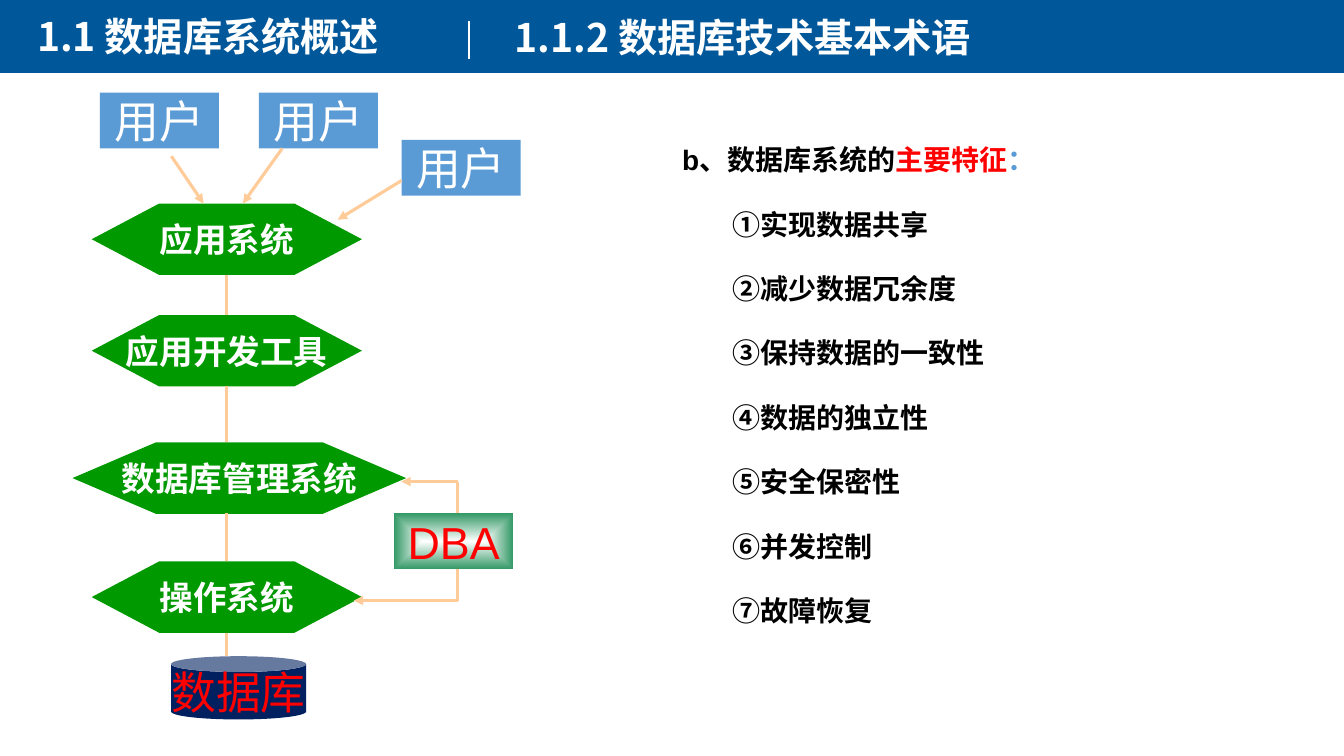
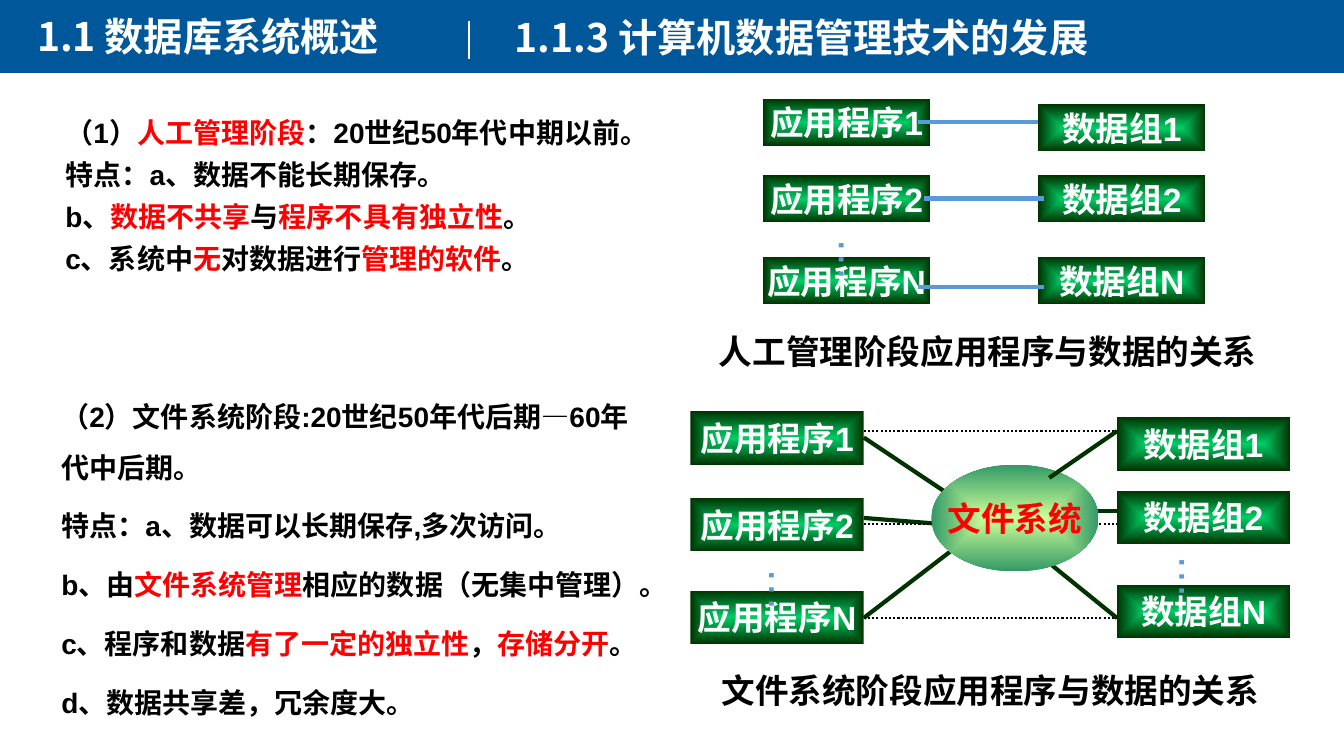
from pptx import Presentation
from pptx.dml.color import RGBColor
from pptx.enum.dml import MSO_LINE
from pptx.enum.shapes import MSO_CONNECTOR, MSO_SHAPE as SHAPE
from pptx.enum.text import MSO_ANCHOR, PP_ALIGN as ALIGN
from pptx.oxml.ns import qn
from pptx.util import Pt
from lxml.etree import SubElement

WIDTH, HEIGHT = 960, 540
BLUE, GREEN, NAVY = "00589A", "009900", "002060"
WHITE, BLACK, RED = "FFFFFF", "000000", "FF0000"
SKY, PEACH, FOREST = "5B9BD5", "FFCC99", "003300"
BOX_GLOW = ("00CC66", FOREST)
DBA_GLOW = (WHITE, "339966")
OVAL_GLOW = ("CCFF99", "339966")
BODY_FONT, TITLE_FONT = "Arial", "Noto Sans CJK SC"


def rgb(color):
    return RGBColor.from_string(color)


class Deck:
    def __init__(self):
        self.prs = Presentation()
        self.prs.slide_width, self.prs.slide_height = Pt(WIDTH), Pt(HEIGHT)
        self.s = None

    def slide(self, title):
        """Start a slide with the blue band, chapter and section title."""
        self.s = self.prs.slides.add_slide(self.prs.slide_layouts[6])
        self.shape(SHAPE.RECTANGLE, 0, -1.2, WIDTH, 53.2, BLUE)
        heading = dict(size=28, color=WHITE, font=TITLE_FONT)
        self.text(19.4, 5, 398, 41, ["1.1 数据库系统概述"], **heading)
        self.text(360.7, 5.8, 580, 41, [title], **heading)
        self.line(334.8, 15, 334.8, 42.5, WHITE, 1.5)

    def style(self, p, size, color, bold=True, font=BODY_FONT):
        p.font.name, p.font.size, p.font.bold = font, Pt(size), bold
        p.font.color.rgb = rgb(color)

    def text(self, x, y, w, h, paragraphs, size=20, color=BLACK, bold=True,
             font=BODY_FONT, before=0, spacing=None, indent=0, align=None,
             vertical=False):
        """Each paragraph is a string or a list of strings and (text, colour)."""
        tf = self.s.shapes.add_textbox(Pt(x), Pt(y), Pt(w), Pt(h)).text_frame
        tf.word_wrap = True
        if vertical:
            tf._txBody.bodyPr.set("vert", "eaVert")
        for i, runs in enumerate(paragraphs):
            p = tf.add_paragraph() if i else tf.paragraphs[0]
            if i:
                p.space_before = Pt(before)
                if indent:
                    p._p.get_or_add_pPr().set("marL", str(Pt(indent)))
            if spacing:
                p.line_spacing = spacing
            p.alignment = align
            self.style(p, size, color, bold, font)
            for run in [runs] if isinstance(runs, str) else runs:
                r = p.add_run()
                if isinstance(run, str):
                    r.text = run
                else:
                    r.text = run[0]
                    r.font.color.rgb = rgb(run[1])

    def shape(self, kind, x, y, w, h, fill, label="", size=24, color=WHITE,
              bold=True, adj=()):
        """Fill is one colour, or a (centre, edge) pair for a glow."""
        sp = self.s.shapes.add_shape(kind, Pt(x), Pt(y), Pt(w), Pt(h))
        sp.shadow.inherit = False
        sp.line.fill.background()
        for i, value in enumerate(adj):
            sp.adjustments[i] = value
        if isinstance(fill, str):
            sp.fill.solid()
            sp.fill.fore_color.rgb = rgb(fill)
        else:
            self.glow(sp, fill)
        if label:
            tf = sp.text_frame
            tf.word_wrap = False
            tf.vertical_anchor = MSO_ANCHOR.MIDDLE
            p = tf.paragraphs[0]
            p.alignment = ALIGN.CENTER
            self.style(p, size, color, bold)
            p.add_run().text = label

    def glow(self, sp, colors):
        sp.fill.gradient()
        for stop, color, position in zip(sp.fill.gradient_stops, colors, (0, 1)):
            stop.color.rgb, stop.position = rgb(color), position
        grad = sp._element.spPr.find(qn("a:gradFill"))
        grad.remove(grad.find(qn("a:lin")))
        shade = SubElement(grad, qn("a:path"), path="shape")
        SubElement(shade, qn("a:fillToRect"), l="50000", t="50000",
                   r="50000", b="50000")

    def line(self, x1, y1, x2, y2, color, width, arrow=False, dotted=False):
        c = self.s.shapes.add_connector(MSO_CONNECTOR.STRAIGHT, Pt(x1), Pt(y1),
                                        Pt(x2), Pt(y2))
        c.line.color.rgb, c.line.width = rgb(color), Pt(width)
        if dotted:
            c.line.dash_style = MSO_LINE.ROUND_DOT
        if arrow:
            SubElement(c.line._get_or_add_ln(), qn("a:tailEnd"), type="triangle")
        SubElement(c._element.spPr, qn("a:effectLst"))

    def column(self, x, tops, w, h, name):
        """Glowing boxes numbered 1, 2, N."""
        for top, number in zip(tops, "12N"):
            self.shape(SHAPE.RECTANGLE, x, top, w, h, BOX_GLOW, name + number)

    def ellipsis(self, x, y):
        self.text(x, y, 40, 54, ["…"], size=32, color=SKY, bold=False,
                  vertical=True)


def terms_slide(d):
    d.slide("1.1.2 数据库技术基本术语")
    d.text(480.2, 86.4, 307, 383, [
        ["b、数据库系统的", ("主要特征", RED), ("：", SKY)],
        "①实现数据共享", "②减少数据冗余度", "③保持数据的一致性",
        "④数据的独立性", "⑤安全保密性", "⑥并发控制", "⑦故障恢复",
    ], before=10, spacing=1.5, indent=36)

    for label, x, y, w, adj in [
            ("应用系统", 65.5, 145.4, 193, 0.945),
            ("应用开发工具", 65.5, 225, 193, 0.945),
            ("操作系统", 65.5, 401, 193, 0.945),
            ("数据库管理系统", 51.8, 316, 238.3, 1.167)]:
        d.shape(SHAPE.HEXAGON, x, y, w, 51, GREEN, label, adj=(adj, 1.155))
    large = dict(size=32, bold=False)
    for x, y in [(71.3, 66.2), (185, 66.2), (286.8, 100)]:
        d.shape(SHAPE.RECTANGLE, x, y, 85, 39.8, SKY, "用户", **large)
    for ends in [(122.4, 111.6, 145.4, 145.4), (201.6, 106, 173.5, 145.4),
                 (286.8, 129, 241.2, 157)]:
        d.line(*ends, PEACH, 2.25, arrow=True)
    for top, bottom in [(196.5, 225), (276, 316), (366.8, 401), (452, 468.7)]:
        d.line(162, top, 162, bottom, PEACH, 2)
    d.shape(SHAPE.CAN, 122.2, 468.7, 96.5, 45.2, NAVY, "数据库", color=RED,
            adj=(0.25,), **large)
    d.shape(SHAPE.RECTANGLE, 281.5, 366.8, 85, 39.8, DBA_GLOW, "DBA", color=RED,
            **large)
    for box_edge, y, tip in [(366.8, 344, 286.6), (406.6, 429, 252.7)]:
        d.line(326.9, box_edge, 326.9, y, PEACH, 2)
        d.line(326.9, y, tip, y, PEACH, 2.25, arrow=True)


def history_slide(d):
    d.slide("1.1.3 计算机数据管理技术的发展")
    d.text(39.6, 79.2, 480, 126, [
        ["（1）", ("人工管理阶段", RED), "：20世纪50年代中期以前。"],
        "特点：a、数据不能长期保存。",
        ["b、", ("数据不共享", RED), "与", ("程序不具有独立性", RED), "。"],
        ["c、系统中", ("无", RED), "对数据进行", ("管理的软件", RED), "。"],
    ], before=6)
    d.text(442, 232.6, 527, 36, ["人工管理阶段应用程序与数据的关系"], size=24,
           align=ALIGN.CENTER)
    d.column(545, (70.6, 125.3, 183.6), 119.5, 33.6, "应用程序")
    d.column(741.6, (74.6, 125.3, 183.6), 119.5, 33.6, "数据组")
    d.ellipsis(594.7, 162.7)
    for x1, x2, y in [(656, 741.6, 87.1), (660.2, 746, 141.8), (656, 746, 205)]:
        d.line(x1, y, x2, y, SKY, 3)

    d.text(36.7, 270, 437, 254, [
        "（2）文件系统阶段:20世纪50年代后期—60年代中后期。",
        "特点：a、数据可以长期保存,多次访问。",
        ["b、由", ("文件系统管理", RED), "相应的数据（无集中管理）。"],
        ["c、程序和数据", ("有了一定的独立性", RED), "，", ("存储分开", RED), "。"],
        "d、数据共享差，冗余度大。",
    ], before=6, spacing=1.5)
    left, right = 617, 797.8
    d.column(493.2, (293.8, 355.7, 421.9), 123.8, 38.2, "应用程序")
    d.column(right, (298, 350.6, 417.6), 123.8, 38.2, "数据组")
    for x1, y1, x2, y2 in [
            (left, 312.5, 674, 350.6), (left, 370, 674, 374.4),
            (left, 441.4, 679, 393.8), (right, 441.4, 744.5, 398.2),
            (right, 365, 762.5, 365)]:
        d.line(x1, y1, x2, y2, FOREST, 3)
    d.ellipsis(545, 398.2)
    d.ellipsis(837.9, 388.8)
    for y in (308, 374.4, 441.4):
        d.line(left, y, right, y, BLACK, 1.5, dotted=True)
    d.shape(SHAPE.OVAL, 665.3, 331.9, 119.5, 76.3, OVAL_GLOW, "文件系统",
            color=RED)
    d.line(right, 308, 749.5, 341.3, FOREST, 3)
    d.text(508.3, 475.2, 413.3, 36, ["文件系统阶段应用程序与数据的关系"], size=24)


def main():
    d = Deck()
    terms_slide(d)
    history_slide(d)
    d.prs.save("out.pptx")


if __name__ == "__main__":
    main()
